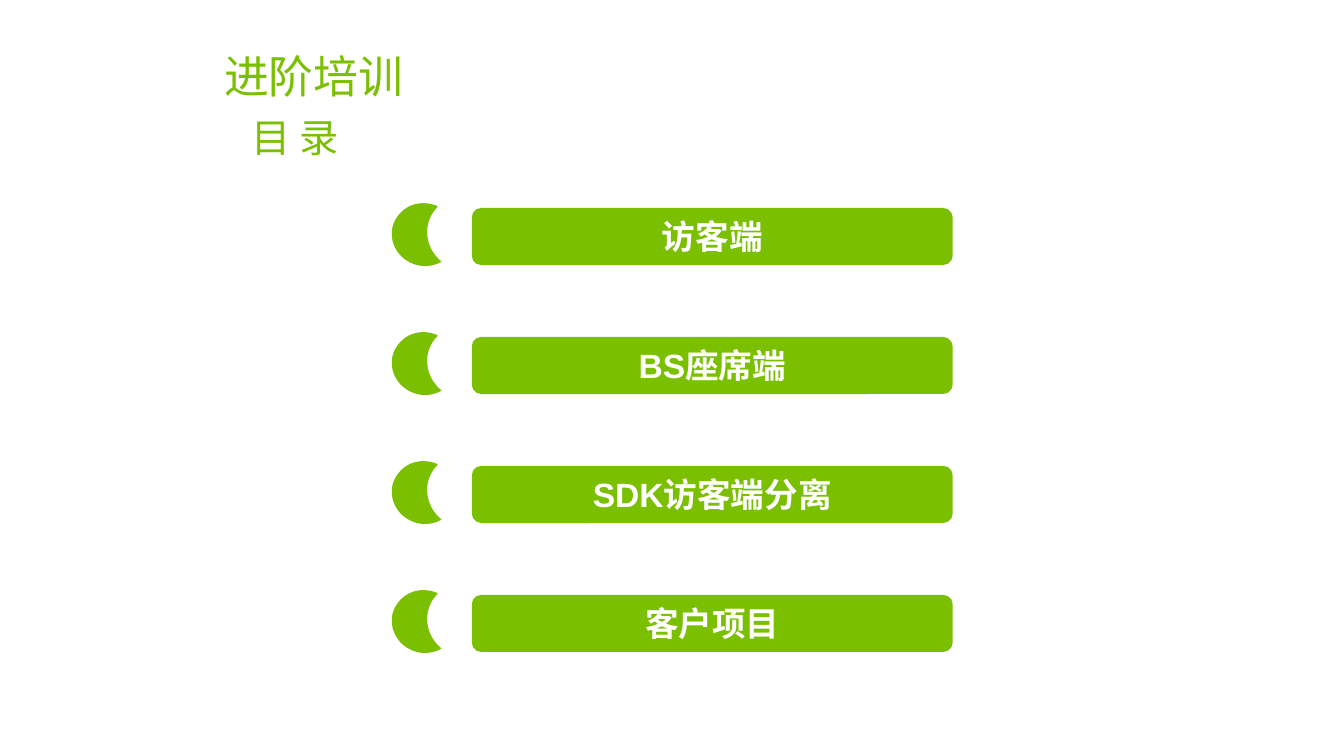
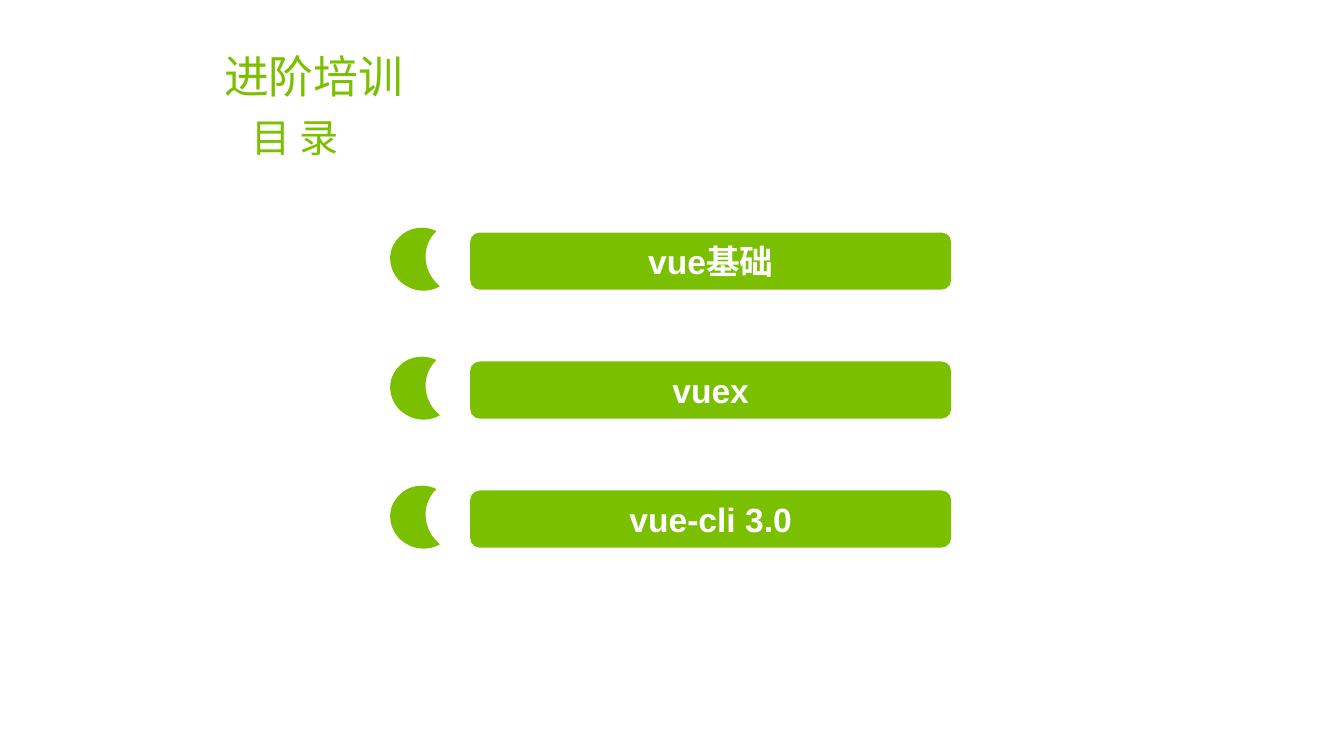
from lxml import etree
from pptx import Presentation
from pptx.dml.color import RGBColor
from pptx.enum import shapes, text
from pptx.oxml.ns import qn
from pptx.util import Cm, Pt

COLORS = {"green": "7ABF00", "white": "FFFFFF"}
FONT = "Arial"

# words, left, top, width, height (cm), size (pt)
HEADINGS = [
    ("进阶培训", 5.4, 1.1, 5.87, 1.63, 32),
    ("目 录", 6.1, 2.72, 3.25, 1.45, 28),
]
AGENDAS = [
    {"left": 11.89, "top": 5.24,
     "topics": ["访客端", "BS座席端", "SDK访客端分离", "客户项目"]},
    {"left": 11.85, "top": 5.86,
     "topics": ["vue基础", "vuex", "vue-cli 3.0"]},
]

BAR_WIDTH, BAR_HEIGHT, BAR_PITCH = 12.12, 1.44, 3.25

# moon centre relative to the bar's top left corner, in cm
MOON_X, MOON_Y, MOON_ROTATION = -1.26, 0.64, 212.7
MOON_START = (-0.03, -0.77)
# one point: straight segment; three points: cubic curve
MOON_SEGMENTS = [
    [(0.42, -0.78), (0.8, -0.42), (0.78, 0.01)],
    [(0.78, 0.4), (0.5, 0.71), (0.13, 0.79)],
    [(0.07, 0.8)],
    [(0.06, 0.78)],
    [(0.07, 0.74), (0.08, 0.67), (0.08, 0.61)],
    [(0.09, 0.16), (-0.24, -0.21), (-0.66, -0.3)],
    [(-0.77, -0.32)],
    [(-0.71, -0.42)],
    [(-0.55, -0.64), (-0.3, -0.77), MOON_START],
]


def color(name):
    return RGBColor.from_string(COLORS[name])


def write(frame, words, size, color_name, bold=False):
    run = frame.paragraphs[0].add_run()
    run.text = words
    run.font.name = FONT
    run.font.size = Pt(size)
    run.font.bold = bold
    run.font.color.rgb = color(color_name)


def paint(shape):
    """Flat green, without line or shadow."""
    shape.shadow.inherit = False
    shape.fill.solid()
    shape.fill.fore_color.rgb = color("green")
    shape.line.fill.background()


def add_heading(slide, words, left, top, width, height, size):
    heading = slide.shapes.add_textbox(Cm(left), Cm(top), Cm(width), Cm(height))
    heading.text_frame.word_wrap = True
    write(heading.text_frame, words, size, "green")


def bend(freeform, segments):
    """Merge each run of three straight segments into one cubic curve."""
    lines = iter(list(freeform._element.iter(qn("a:lnTo"))))
    for segment in segments:
        parts = [next(lines) for _ in segment]
        if len(parts) == 3:
            curve = etree.Element(qn("a:cubicBezTo"))
            parts[0].addprevious(curve)
            for part in parts:
                curve.append(part[0])
                part.getparent().remove(part)


def add_moon(slide, left, top):
    def place(point):
        return Cm(left + point[0]), Cm(top + point[1])

    builder = slide.shapes.build_freeform(*place(MOON_START))
    builder.add_line_segments(
        [place(point) for segment in MOON_SEGMENTS for point in segment], close=True)
    moon = builder.convert_to_shape()
    bend(moon, MOON_SEGMENTS)
    moon.rotation = MOON_ROTATION
    paint(moon)


def add_topic(slide, words, left, top):
    bar = slide.shapes.add_shape(
        shapes.MSO_SHAPE.ROUNDED_RECTANGLE,
        Cm(left), Cm(top), Cm(BAR_WIDTH), Cm(BAR_HEIGHT))
    paint(bar)
    frame = bar.text_frame
    frame.word_wrap = True
    frame.vertical_anchor = text.MSO_ANCHOR.MIDDLE
    frame.paragraphs[0].alignment = text.PP_ALIGN.CENTER
    write(frame, words, 24, "white", bold=True)
    add_moon(slide, left + MOON_X, top + MOON_Y)


def main():
    deck = Presentation()
    deck.slide_width, deck.slide_height = Cm(33.87), Cm(19.05)
    for agenda in AGENDAS:
        slide = deck.slides.add_slide(deck.slide_layouts[6])
        for heading in HEADINGS:
            add_heading(slide, *heading)
        for row, topic in enumerate(agenda["topics"]):
            add_topic(slide, topic, agenda["left"], agenda["top"] + row * BAR_PITCH)
    deck.save("out.pptx")


if __name__ == "__main__":
    main()
